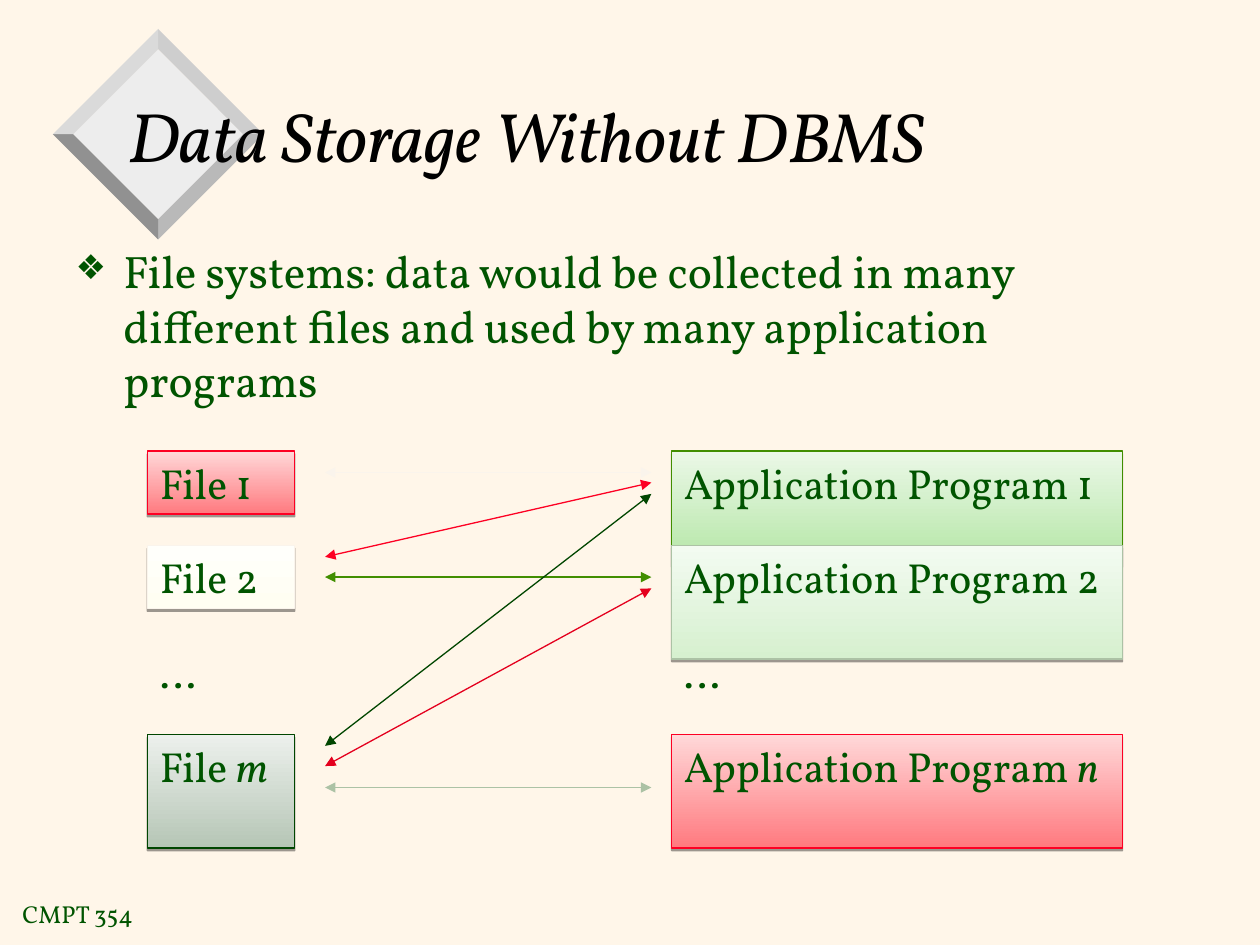
from lxml.etree import SubElement
from pptx import Presentation
from pptx.dml.color import RGBColor
from pptx.enum.shapes import MSO_CONNECTOR as Connector, MSO_SHAPE as Shape
from pptx.enum.text import MSO_ANCHOR as Anchor, MSO_AUTO_SIZE as AutoSize, PP_ALIGN as Align
from pptx.oxml.ns import qn
from pptx.util import Inches, Pt

FONT = "Vollkorn"
GREEN = "005400"
RED_BOX = ("FF7A7F", "FFD8D9", "FD0023")

# Rows of a column: text, italic ending, height, (bottom, top and line colours)
FILES = [
    ("File 1", "", 0.5, RED_BOX),
    ("File 2", "", 0.5, ("FFFEF2", "FFFFFB", "FAF4EC")),
    ("…", "", 0.5, None),
    ("File ", "m", 0.9, ("B6C6B6", "ECF0EC", "004600")),
]
PROGRAMS = [
    ("Application Program 1", "", 0.9, ("B4E6A6", "EBF8E7", "418E00")),
    ("Application Program 2", "", 0.9, ("D6F0CF", "F3FBF1", "ACC2A5")),
    ("…", "", 0.5, None),
    ("Application Program ", "n", 0.9, RED_BOX),
]
# Heights at the file end and at the program end, colour
LINKS = [
    (4.58, 4.58, "418E00"),
    (6.25, 6.25, "ACC2A5"),
    (3.75, 3.75, "FAF4EC"),
    (4.42, 3.83, "FD0023"),
    (6.08, 4.67, "E4001E"),
    (5.92, 3.92, "004600"),
]


def rgb(value):
    return RGBColor.from_string(value)


def place(shape, left, top, width, height):
    shape.left, shape.top = Inches(left), Inches(top)
    shape.width, shape.height = Inches(width), Inches(height)


def style(paragraph, size, color=GREEN, italic=None):
    paragraph.alignment = Align.LEFT
    font = paragraph.font
    font.name, font.size, font.italic = FONT, Pt(size), italic
    font.color.rgb = rgb(color)


def add_diamond(slide, left, top, size):
    """Bevelled diamond: a flat face with four shaded edges."""
    outer, bevel = size / 2, 0.16
    inner = outer - bevel
    x, y = left + outer, top + outer
    directions = [(0, -1), (1, 0), (0, 1), (-1, 0)]

    def corners(radius):
        return [(x + dx * radius, y + dy * radius) for dx, dy in directions]

    rim, face = corners(outer), corners(inner)
    facets = [(face, "EDEDED")]
    for i, shade in enumerate(["CECECE", "B9B9B9", "919191", "DADADA"]):
        j = (i + 1) % 4
        facets.append(([face[i], rim[i], rim[j], face[j]], shade))
    group = slide.shapes.add_group_shape()
    for outline, shade in facets:
        points = [(Inches(px), Inches(py)) for px, py in outline]
        builder = group.shapes.build_freeform(*points[0])
        builder.add_line_segments(points[1:], close=True)
        facet = builder.convert_to_shape()
        facet.shadow.inherit = False
        facet.fill.solid()
        facet.fill.fore_color.rgb = rgb(shade)
        facet.line.fill.background()


def add_title(slide, *box):
    title = slide.shapes.title
    place(title, *box)
    frame = title.text_frame
    frame.text = "Data Storage Without DBMS"
    frame.vertical_anchor = Anchor.MIDDLE
    frame.auto_size = AutoSize.NONE
    style(frame.paragraphs[0], 40, "000000", italic=True)
    slide.shapes._spTree.append(title._element)  # in front of the diamond


def add_statement(slide, *box):
    body = slide.placeholders[1]
    place(body, *box)
    frame = body.text_frame
    frame.text = ("File systems: data would be collected in many different files "
                  "and used by many application programs")
    frame.auto_size = AutoSize.NONE
    paragraph = frame.paragraphs[0]
    style(paragraph, 26)
    paragraph.space_before = Pt(6.5)
    properties = paragraph._p.get_or_add_pPr()
    properties.set("marL", str(Inches(0.38)))
    properties.set("indent", str(-Inches(0.38)))
    bullet_color = SubElement(properties, qn("a:buClr"))
    SubElement(bullet_color, qn("a:srgbClr"), val=GREEN)
    SubElement(properties, qn("a:buSzPct"), val="75000")
    SubElement(properties, qn("a:buFont"), typeface=FONT)
    SubElement(properties, qn("a:buChar"), char="❖")
    # python-pptx put defRPr in first; the schema wants it last
    properties.append(properties.find(qn("a:defRPr")))


def add_drop_shadow(shape):
    shape.shadow.inherit = False
    effects = shape._element.spPr.find(qn("a:effectLst"))
    shadow = SubElement(effects, qn("a:outerShdw"), blurRad="0", dist=str(Pt(1.6)),
                        dir="5400000", rotWithShape="0")
    black = SubElement(shadow, qn("a:srgbClr"), val="000000")
    SubElement(black, qn("a:alpha"), val="38000")


def paint(box, bottom, top, outline):
    box.fill.gradient()
    box.fill.gradient_angle = 90
    for stop, color in zip(box.fill.gradient_stops, (bottom, top)):
        stop.color.rgb = rgb(color)
    box.line.color.rgb = rgb(outline)
    box.line.width = Pt(0.75)
    add_drop_shadow(box)


def add_column(slide, rows, left, top, width, pitch=0.75):
    for i, (text, ending, height, colors) in enumerate(rows):
        area = [Inches(n) for n in (left, top + i * pitch, width, height)]
        if colors:
            box = slide.shapes.add_shape(Shape.RECTANGLE, *area)
            paint(box, *colors)
        else:
            box = slide.shapes.add_textbox(*area)
        frame = box.text_frame
        frame.word_wrap = True
        frame.vertical_anchor = Anchor.TOP
        paragraph = frame.paragraphs[0]
        style(paragraph, 24)
        paragraph.add_run().text = text
        if ending:
            variable = paragraph.add_run()
            variable.text = ending
            variable.font.italic = True
        for run in paragraph.runs:
            run.font.name, run.font.size = FONT, Pt(24)
            run.font.color.rgb = rgb(GREEN)


def add_links(slide, left, right):
    for start, end, color in LINKS:
        link = slide.shapes.add_connector(Connector.STRAIGHT, Inches(left), Inches(start),
                                          Inches(right), Inches(end))
        link.line.color.rgb = rgb(color)
        link.line.width = Pt(0.75)
        line = link.line._get_or_add_ln()
        for tip in ("a:headEnd", "a:tailEnd"):
            SubElement(line, qn(tip), type="triangle")
        SubElement(link._element.spPr, qn("a:effectLst"))


def add_course(slide, *box):
    course = slide.shapes.add_textbox(*[Inches(n) for n in box])
    frame = course.text_frame
    frame.word_wrap = False
    frame.vertical_anchor = Anchor.MIDDLE
    paragraph = frame.paragraphs[0]
    run = paragraph.add_run()
    run.text = "CMPT 354"
    paragraph.alignment = Align.LEFT
    run.font.name, run.font.size = FONT, Pt(14)
    run.font.color.rgb = rgb(GREEN)


def main():
    deck = Presentation()
    deck.slide_width, deck.slide_height = Inches(10), Inches(7.5)
    slide = deck.slides.add_slide(deck.slide_layouts[1])
    slide.background.fill.solid()
    slide.background.fill.fore_color.rgb = rgb("FFF6E9")
    add_diamond(slide, 0.42, 0.23, 1.67)
    add_course(slide, 0.08, 7.09, 1.12, 0.33)
    add_title(slide, 0.92, 0.46, 8.5, 1.21)
    add_statement(slide, 0.5, 1.88, 9, 1.46)
    add_column(slide, FILES, 1.17, 3.58, 1.17)
    add_column(slide, PROGRAMS, 5.33, 3.58, 3.58)
    add_links(slide, 2.58, 5.17)
    deck.save("out.pptx")


if __name__ == "__main__":
    main()
